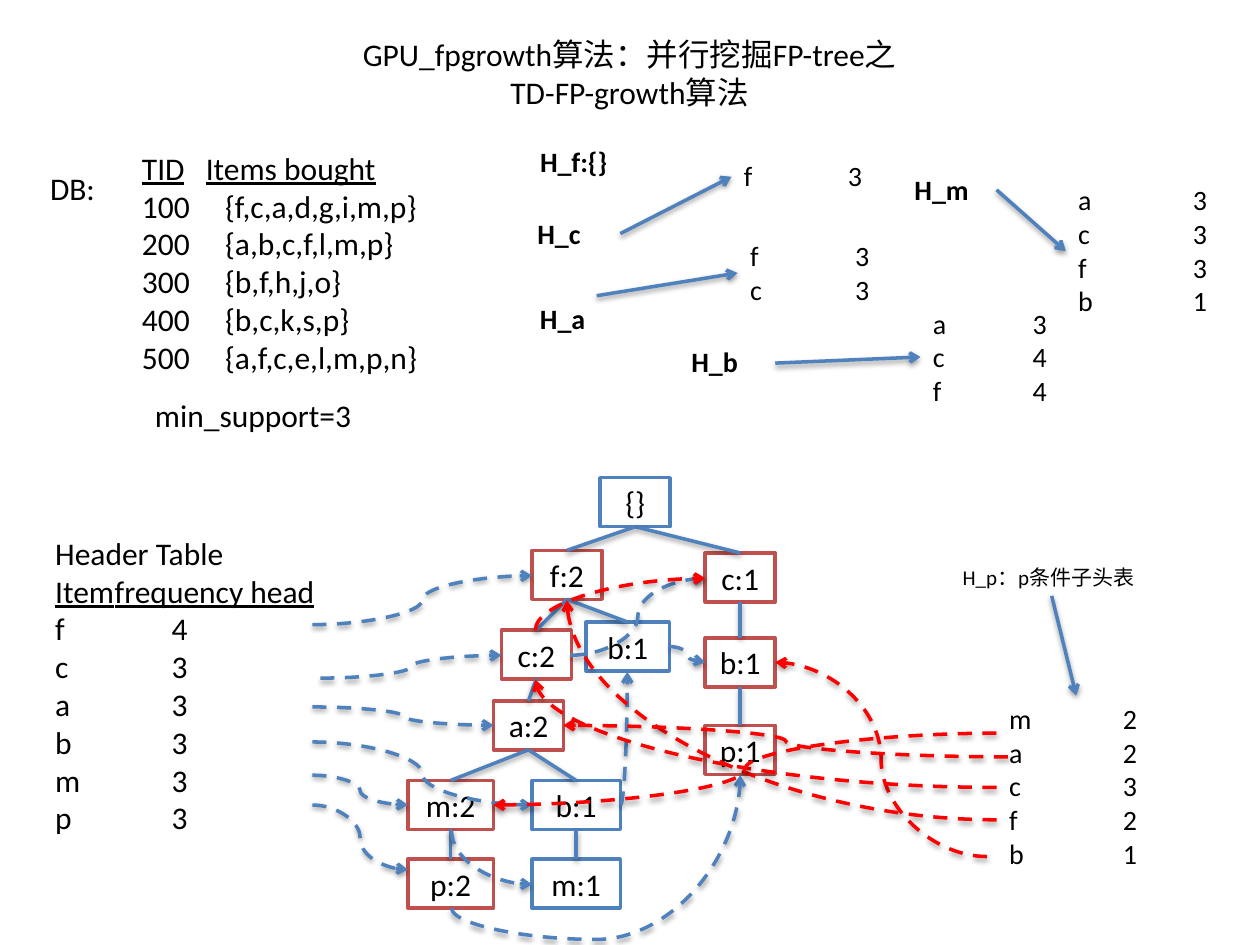
from dataclasses import dataclass

from lxml import etree
from pptx import Presentation
from pptx import util as u
from pptx.dml.color import RGBColor
from pptx.enum import dml, shapes, text
from pptx.oxml.ns import qn

Pt = u.Pt


@dataclass(frozen=True)
class Theme:
    """Colours, font and sizes of the slide."""
    font: str = "Calibri"
    ink: str = "000000"
    paper: str = "FFFFFF"
    blue: str = "4F81BD"
    path_red: str = "C0504D"
    link_red: str = "FF0000"
    body: int = 18
    label: int = 16
    note: int = 12
    stroke: int = 2


THEME = Theme()


def rgb(value):
    """Turn a hex string into a colour."""
    return RGBColor.from_string(value)


def child(parent, tag, **attrs):
    """Append an XML element with attributes."""
    el = etree.SubElement(parent, qn(tag))
    for key, value in attrs.items():
        el.set(key, str(value))
    return el


def write(tf, lines, size=THEME.body, bold=False, align=text.PP_ALIGN.LEFT,
          tab=None, header=None, header_tab=None):
    """Fill a text frame; the header row is underlined and has its own tab."""
    for i, line in enumerate(lines):
        p = tf.paragraphs[0] if i == 0 else tf.add_paragraph()
        p.alignment = align
        stop = header_tab if i == header else tab
        if stop and "\t" in line:
            tabs = child(p._p.get_or_add_pPr(), "a:tabLst")
            child(tabs, "a:tab", pos=Pt(stop), algn="l")
        r = p.add_run()
        r.text = line
        r.font.name, r.font.size, r.font.bold = THEME.font, Pt(size), bold
        r.font.underline = i == header
        r.font.color.rgb = rgb(THEME.ink)


class Board:
    """Draws styled elements on the current slide."""

    def __init__(self, slide, theme):
        """Keep the slide and its theme."""
        self.s, self.theme = slide, theme

    def title(self, lines, x, y, w, h):
        """Place and format the title placeholder."""
        sp = self.s.shapes.title
        sp.left, sp.top, sp.width, sp.height = map(Pt, (x, y, w, h))
        sp.text_frame.auto_size = text.MSO_AUTO_SIZE.NONE
        sp.text_frame.vertical_anchor = text.MSO_ANCHOR.TOP
        write(sp.text_frame, lines, align=text.PP_ALIGN.CENTER)

    def text(self, lines, x, y, w, h, wrap=False, **fmt):
        """Add a text box."""
        tf = self.s.shapes.add_textbox(*map(Pt, (x, y, w, h))).text_frame
        tf.word_wrap = wrap
        write(tf, lines, **fmt)

    def node(self, label, x, y, w, color):
        """Add a tree node."""
        sp = self.s.shapes.add_shape(
            shapes.MSO_SHAPE.RECTANGLE, Pt(x), Pt(y), Pt(w), Pt(28))
        sp.shadow.inherit = False
        sp.fill.solid()
        sp.fill.fore_color.rgb = rgb(self.theme.paper)
        sp.line.color.rgb = rgb(color)
        sp.line.width = Pt(self.theme.stroke)
        tf = sp.text_frame
        tf.margin_left = tf.margin_right = 0
        tf.vertical_anchor = text.MSO_ANCHOR.MIDDLE
        write(tf, [label], align=text.PP_ALIGN.CENTER)
        return sp

    def line(self, start, end, arrow=False, dash=False, color=THEME.blue,
             kind=shapes.MSO_CONNECTOR.STRAIGHT):
        """Add a connector with a soft shadow."""
        cx = self.s.shapes.add_connector(kind, *map(Pt, (*start, *end)))
        cx.line.color.rgb = rgb(color)
        cx.line.width = Pt(self.theme.stroke)
        if dash:
            cx.line.dash_style = dml.MSO_LINE.DASH
        if arrow:
            child(cx.line._get_or_add_ln(), "a:tailEnd", type="arrow")
        effects = child(cx._element.spPr, "a:effectLst")
        shadow = child(effects, "a:outerShdw", blurRad=Pt(3.1), dist=Pt(1.6),
                       dir=5400000, rotWithShape=0)
        child(child(shadow, "a:srgbClr", val=self.theme.ink), "a:alpha", val=38000)
        return cx

    def edge(self, parent, kid):
        """Glue a straight line from a node's bottom to its child's top."""
        cx = self.line((0, 0), (1, 1))
        cx.begin_connect(parent, 2)
        cx.end_connect(kid, 0)

    def curve(self, start, end, color=THEME.blue, bend=3, upright=False, adj=None):
        """Add a dashed curved arrow; an upright one leaves its start vertically."""
        cx = self.line(start, end, True, True, color, shapes.MSO_CONNECTOR.CURVE)
        sppr = cx._element.spPr
        geom = sppr.find(qn("a:prstGeom"))
        geom.set("prst", f"curvedConnector{bend}")
        if adj is not None:
            child(geom.find(qn("a:avLst")), "a:gd", name="adj1", fmla=f"val {adj}")
        if upright:
            (x1, y1), (x2, y2) = start, end
            w, h = abs(y2 - y1), abs(x2 - x1)
            cx.left, cx.top = Pt((x1 + x2 - w) / 2), Pt((y1 + y2 - h) / 2)
            cx.width, cx.height = Pt(w), Pt(h)
            rising = y2 < y1
            xfrm = sppr.find(qn("a:xfrm"))
            xfrm.set("rot", str((90 if rising else 270) * 60000))
            xfrm.set("flipH", "1")
            xfrm.set("flipV", "1" if rising else "0")


prs = Presentation()
prs.slide_width, prs.slide_height = Pt(720), Pt(540)
board = Board(prs.slides.add_slide(prs.slide_layouts[5]), THEME)
board.title(["GPU_fpgrowth算法：并行挖掘FP-tree之", "TD-FP-growth算法"],
            31, 16.5, 657.5, 51)

board.text(["Header Table", "Item\tfrequency head", "f\t4", "c\t3", "a\t3",
            "b\t3", "m\t3", "p\t3"], 24.5, 301.5, 175, 181.5,
           tab=66.5, header=1, header_tab=34)

BLUE, RED = THEME.blue, THEME.path_red
NODES = {
    "root": ("{}", 343, 273, 40, BLUE), "c1": ("c:1", 403, 316, 40, RED),
    "f2": ("f:2", 304, 314.5, 40, RED), "b_f": ("b:1", 335, 355.5, 47.5, BLUE),
    "c2": ("c:2", 286.5, 360, 40, RED), "a2": ("a:2", 282, 400.5, 40, RED),
    "m2": ("m:2", 233, 446, 49, RED), "p2": ("p:2", 233, 491, 49, RED),
    "b_a": ("b:1", 304, 446, 50.5, BLUE), "m1": ("m:1", 304, 491, 50.5, BLUE),
    "b_c": ("b:1", 403, 364.5, 40, RED), "p1": ("p:1", 403, 414.5, 40, RED),
}
nodes = {key: board.node(*spec_) for key, spec_ in NODES.items()}
for pair in ("root c1", "root f2", "f2 b_f", "c2 a2", "a2 m2", "a2 b_a", "f2 c2",
             "m2 p2", "b_a m1", "c1 b_c", "b_c p1"):
    board.edge(*(nodes[key] for key in pair.split()))

HEAD_LINKS = [
    ((178.5, 357), (304, 329), {}),
    ((178.5, 404), (282, 414.5), {}),
    ((178.5, 424), (304, 460), {}),
    ((183, 387.5), (286.5, 374.5), {}),
    ((326, 374.5), (403, 330.5), {}),
    ((354.5, 460), (358.5, 384), {"bend": 2}),
    ((382.5, 369.5), (403, 378.5), {}),
    ((178.5, 443), (233, 460), {}),
    ((258, 474.5), (304, 505.5), {"bend": 2, "upright": True}),
    ((178.5, 460), (233, 497), {}),
    ((258, 519), (423, 443), {"upright": True, "adj": -23500}),
]
for start, end, options in HEAD_LINKS:
    board.curve(start, end, **options)

board.text(["TID\tItems bought", "100\t{f,c,a,d,g,i,m,p}", "200\t{a,b,c,f,l,m,p}",
            "300\t{b,f,h,j,o}", "400\t{b,c,k,s,p}", "500\t{a,f,c,e,l,m,p,n}"],
           74, 81.5, 178.5, 138, tab=47.5, header=0, header_tab=36.5)
board.text(["DB:"], 21.5, 93, 40, 29)
board.text(["min_support=3"], 81.5, 222.5, 128, 29)

for label, x, y, w in (("H_f:{}", 301.5, 79, 63), ("H_c", 300, 120, 55),
                       ("H_a", 301.5, 169, 55), ("H_m", 515.5, 95, 55),
                       ("H_b", 388, 193.5, 55)):
    board.text([label], x, y, w, 26.5, wrap=True, size=THEME.label, bold=True)

SUB_TABLES = [
    ("f3", 418, 87, 83, 59.5), ("f3 c3", 421.5, 133, 84, 60),
    ("a3 c4 f4", 526, 171.5, 81, 57), ("a3 c3 f3 b1", 609, 101, 90, 65.5),
    ("m2 a2 c3 f2 b1", 569.5, 397.5, 90, 65),
]
for rows, x, y, w, tab in SUB_TABLES:
    lines = [f"{item}\t{count}" for item, count in rows.split()]
    board.text(lines, x, y, w, 7.2 + 19.4 * len(lines), size=THEME.label, tab=tab)
board.text(["H_p：p条件子头表"], 543, 319, 117.5, 21.5, wrap=True, size=THEME.note)

for start, end in (((354.5, 133.5), (418, 101)), ((569.5, 108.5), (609, 143.5)),
                   ((443, 207.5), (526, 204)), ((601, 340.5), (615, 397.5)),
                   ((341, 169), (421.5, 156))):
    board.line(start, end, arrow=True)

PATTERN_LINKS = [
    ((564, 489.5), (443, 378.5), {}),
    ((569.5, 468.5), (324, 343), {"bend": 2}),
    ((569.5, 450), (306, 388.5), {"bend": 2}),
    ((306, 360), (403, 330.5), {"bend": 2, "upright": True}),
    ((576, 432.5), (322, 414.5), {}),
    ((569.5, 419), (282, 460), {}),
]
for start, end, options in PATTERN_LINKS:
    board.curve(start, end, color=THEME.link_red, **options)

prs.save("out.pptx")
